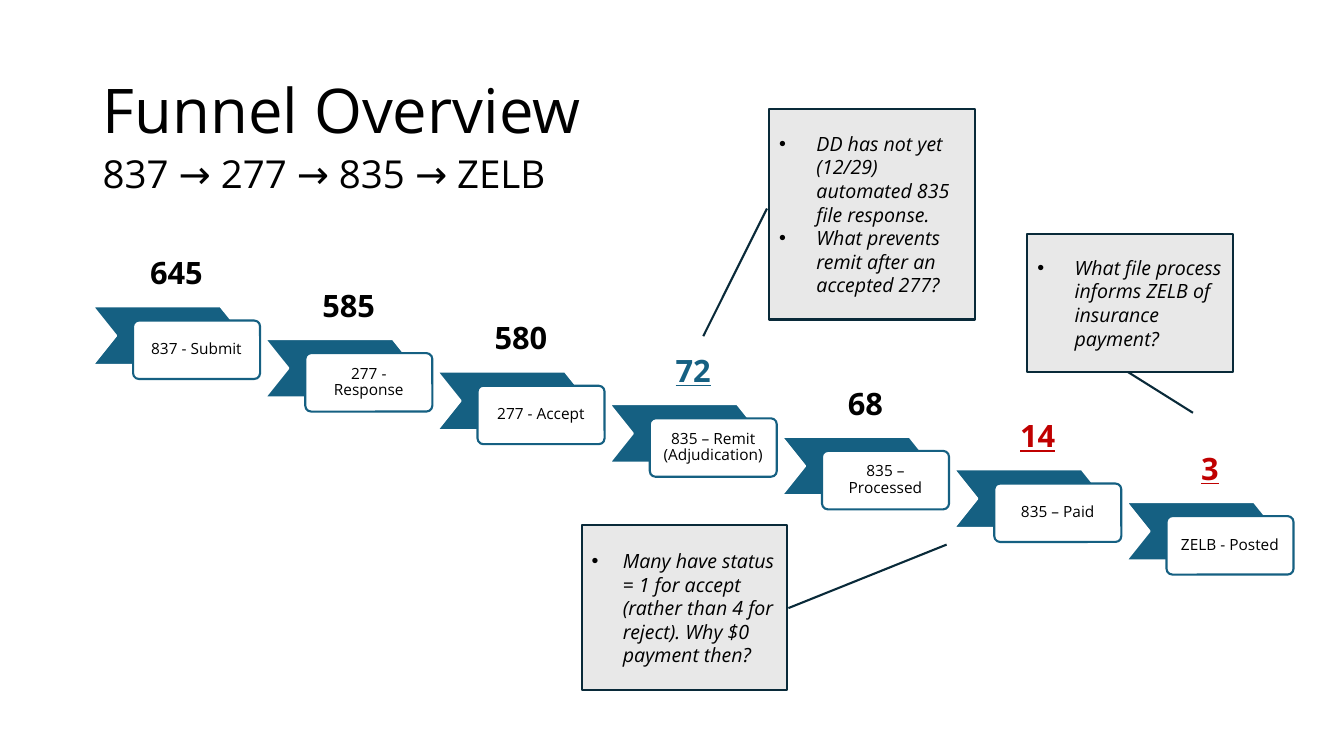
from lxml import etree
from pptx import Presentation
from pptx.dml.color import RGBColor
from pptx.enum.shapes import MSO_SHAPE
from pptx.enum.text import MSO_ANCHOR, MSO_AUTO_SIZE, PP_ALIGN
from pptx.oxml.ns import qn
from pptx.util import Inches, Pt

CHEVRON, CARD, CALLOUT = MSO_SHAPE.CHEVRON, MSO_SHAPE.ROUNDED_RECTANGLE, MSO_SHAPE.LINE_CALLOUT_1
LEFT, CENTER = PP_ALIGN.LEFT, PP_ALIGN.CENTER
TOP, MIDDLE = MSO_ANCHOR.TOP, MSO_ANCHOR.MIDDLE
NO_FIT = MSO_AUTO_SIZE.NONE

FONT = "Open Sans"
BLACK, WHITE, BLUE, RED = "000000", "FFFFFF", "156082", "C00000"
GREY, NAVY = "E8E8E8", "092A39"

# Label, count, count format
STAGES = [
    ("837 - Submit", "645", {}),
    ("277 - Response", "585", {}),
    ("277 - Accept", "580", {}),
    ("835 – Remit (Adjudication)", "72", {"color": BLUE, "underline": True}),
    ("835 – Processed", "68", {}),
    ("835 – Paid", "14", {"color": RED, "underline": True}),
    ("ZELB - Posted", "3", {"color": RED, "underline": True}),
]
STEP_X, STEP_Y = 10.25 / 6, 1.94 / 6

# Left, top, height, pointer adjustments, bullet indent, notes
CALLOUTS = [
    (7.63, 1.08, 2.09, (0.473, -0.011, 1.079, -0.321), 0.37,
     ["DD has not yet (12/29) automated 835 file response.",
      "What prevents remit after an accepted 277?"]),
    (5.77, 5.21, 1.64, (0.502, 1.005, 0.118, 1.774), 0.31,
     ["Many have status = 1 for accept (rather than 4 for reject). Why $0 payment then?"]),
    (10.19, 2.32, 1.37, (1.002, 0.49, 1.296, 0.805), 0.37,
     ["What file process informs ZELB of insurance payment?"]),
]


def write_text(shape, lines, size, anchor=MIDDLE, align=LEFT, spacing=1.0, color=BLACK, **font_format):
    """Fill a shape with one formatted paragraph per line."""
    frame = shape.text_frame
    frame.word_wrap, frame.auto_size, frame.vertical_anchor = True, NO_FIT, anchor
    frame.text = "\n".join(lines)
    for paragraph in frame.paragraphs:
        paragraph.alignment, paragraph.line_spacing = align, spacing
        font = paragraph.runs[0].font
        font.color.rgb = RGBColor.from_string(color)
        for name, value in {"name": FONT, "size": Pt(size), **font_format}.items():
            setattr(font, name, value)


def add_box(shapes, kind, box, fill, line, adjustments):
    """Add a flat preset shape with a 1.5 pt outline."""
    shape = shapes.add_shape(kind, *map(Inches, box))
    shape.shadow.inherit = False
    shape.fill.solid()
    shape.fill.fore_color.rgb = RGBColor.from_string(fill)
    shape.line.color.rgb = RGBColor.from_string(line)
    shape.line.width = Pt(1.5)
    for index, value in enumerate(adjustments):
        shape.adjustments[index] = value
    return shape


presentation = Presentation()
presentation.slide_width, presentation.slide_height = Inches(13.33), Inches(7.5)
slide = presentation.slides.add_slide(presentation.slide_layouts[5])

title = slide.shapes.title
title.left, title.top, title.width, title.height = map(Inches, (0.92, 0.4, 11.5, 1.45))
write_text(title, ["Funnel Overview"], 44, spacing=0.9)

# Descending funnel stages
for index, (label, count, count_format) in enumerate(STAGES):
    x, y = 0.92 + index * STEP_X, 3.04 + index * STEP_Y
    stage = slide.shapes.add_group_shape().shapes
    add_box(stage, CHEVRON, (x, y, 1.5, 0.58), BLUE, WHITE, [0.4])

    card = add_box(stage, CARD, (x + 0.4, y + 0.14, 1.26, 0.58), WHITE, BLUE, [0.1])
    write_text(card, [label], 11, align=CENTER, spacing=0.9)
    for side in ("left", "right", "top", "bottom"):
        setattr(card.text_frame, f"margin_{side}", Inches(0.08))

    count_box = stage.add_textbox(*map(Inches, (x + 0.33, y - 0.57, 1, 0.47)))
    write_text(count_box, [count], 22, anchor=TOP, align=CENTER, bold=True, **count_format)

subtitle = slide.shapes.add_textbox(*map(Inches, (0.92, 1.54, 11.5, 0.47)))
write_text(subtitle, ["837 → 277 → 835 → ZELB"], 27.5, spacing=0.7)

# Open questions
for left, top, height, pointer, indent, notes in CALLOUTS:
    callout = add_box(slide.shapes, CALLOUT, (left, top, 2.04, height), GREY, NAVY, pointer)
    write_text(callout, notes, 14, italic=True)
    for paragraph in callout.text_frame.paragraphs:
        properties = paragraph._p.get_or_add_pPr()
        properties.set("marL", str(Inches(indent)))
        properties.set("indent", str(-Inches(indent)))
        etree.SubElement(properties, qn("a:buFont"), typeface="Arial")
        etree.SubElement(properties, qn("a:buChar"), char="•")

presentation.save("out.pptx")
